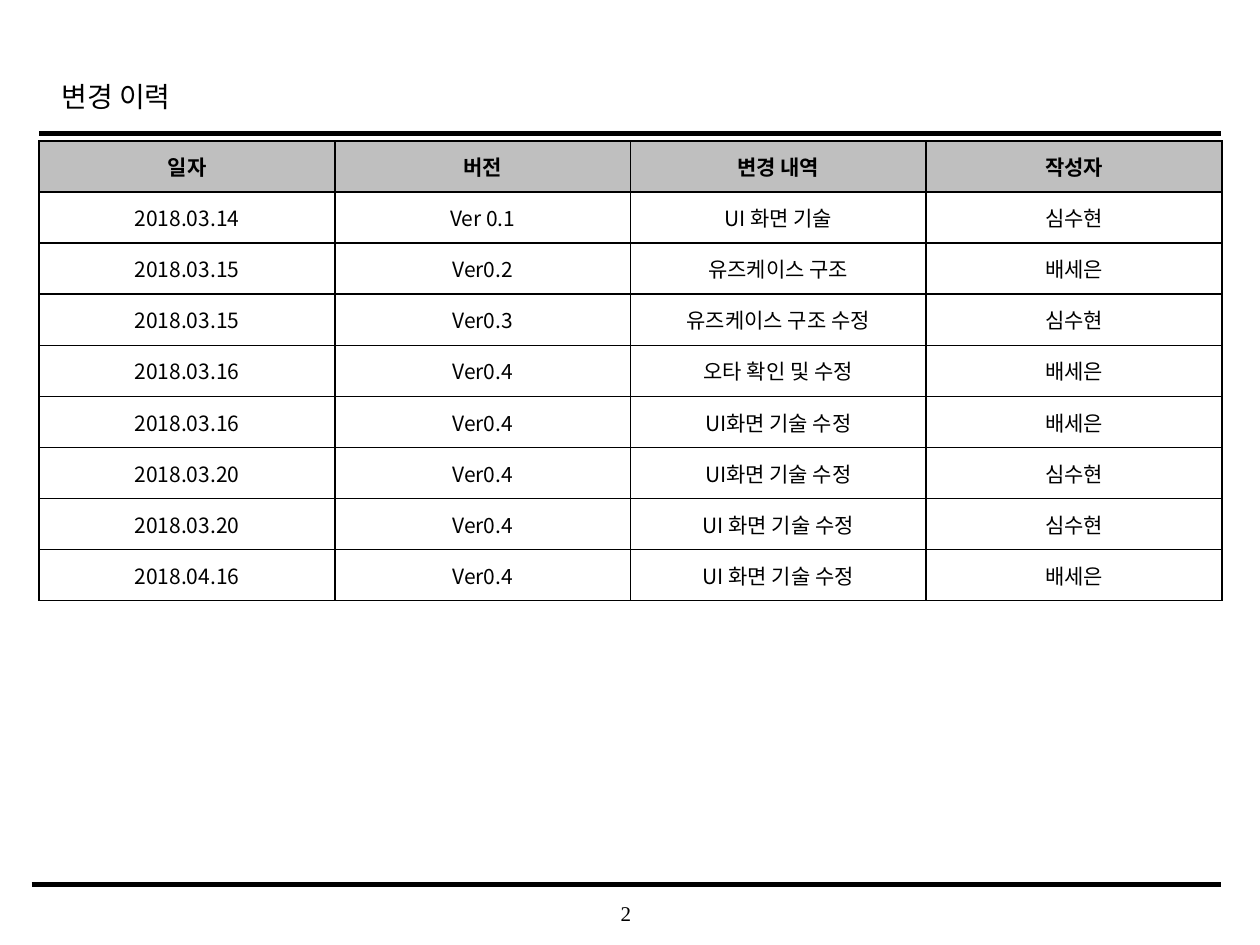
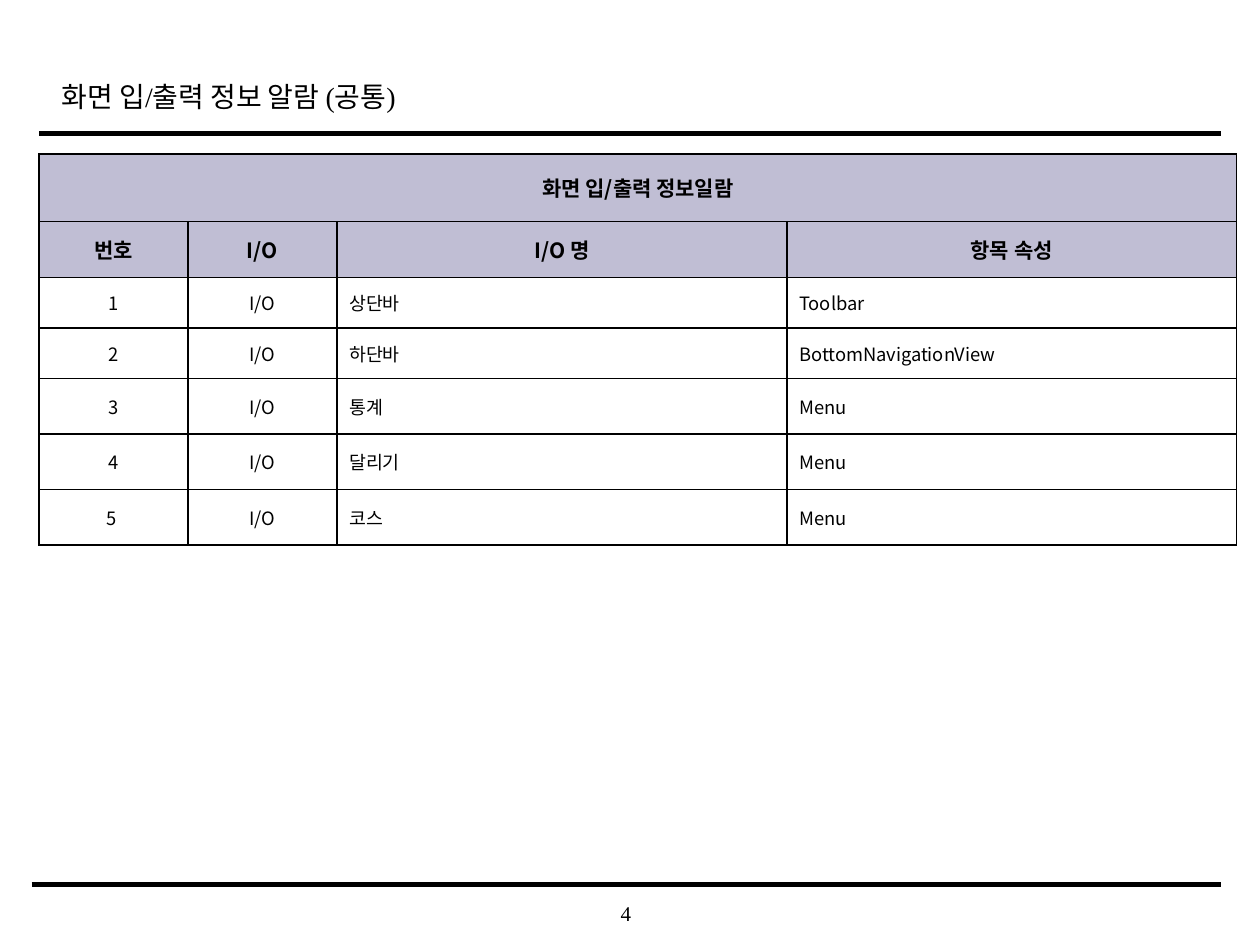
"""Builds the change history and screen I/O tables of a design document."""
from lxml import etree
from pptx import Presentation
from pptx.dml.color import RGBColor
from pptx.enum import shapes, text
from pptx.oxml import ns
from pptx.util import Cm, Pt

BLACK = RGBColor(0x00, 0x00, 0x00)
WHITE = RGBColor(0xFF, 0xFF, 0xFF)
GRAY = RGBColor(0xBF, 0xBF, 0xBF)
LAVENDER = RGBColor(0xC0, 0xBE, 0xD4)
SERIF, SANS = "Times New Roman", "Noto Sans CJK KR"
CENTER, LEFT = text.PP_ALIGN.CENTER, text.PP_ALIGN.LEFT

TABLE_LEFT = 0.79
RULES = [(0.79, 2.69, 2.5), (0.64, 17.83, 3)]
RULE_END = 24.61

SLIDES = [
    {
        "title": "변경 이력", "number": "2", "top": 2.84,
        "columns": [5.96] * 4, "heights": [1.03] * 9,
        "header_rows": 1, "header_fill": GRAY, "body_size": 12,
        "aligns": [CENTER] * 4,
        "rows": [
            ("일자", "버전", "변경 내역", "작성자"),
            ("2018.03.14", "Ver 0.1", "UI 화면 기술", "심수현"),
            ("2018.03.15", "Ver0.2", "유즈케이스 구조", "배세은"),
            ("2018.03.15", "Ver0.3", "유즈케이스 구조 수정", "심수현"),
            ("2018.03.16", "Ver0.4", "오타 확인 및 수정", "배세은"),
            ("2018.03.16", "Ver0.4", "UI화면 기술 수정", "배세은"),
            ("2018.03.20", "Ver0.4", "UI화면 기술 수정", "심수현"),
            ("2018.03.20", "Ver0.4", "UI 화면 기술 수정", "심수현"),
            ("2018.04.16", "Ver0.4", "UI 화면 기술 수정", "배세은"),
        ],
    },
    {
        "title": "화면 입/출력 정보 알람 (공통)", "number": "4", "top": 3.1,
        "columns": [3, 3, 9.07, 9.07],
        "heights": [1.37, 1.12, 1.02, 1.02, 1.12, 1.12, 1.12],
        "header_rows": 2, "header_fill": LAVENDER, "body_size": 10.5,
        "aligns": [CENTER, CENTER, LEFT, LEFT],
        "rows": [
            ("화면 입/출력 정보일람",),
            ("번호", "I/O", "I/O 명", "항목 속성"),
            ("1", "I/O", "상단바", "Toolbar"),
            ("2", "I/O", "하단바", "BottomNavigationView"),
            ("3", "I/O", "통계", "Menu"),
            ("4", "I/O", "달리기", "Menu"),
            ("5 ", "I/O", "코스", "Menu"),
        ],
    },
]


def write(frame, words, size, font, align=LEFT, bold=False):
    frame.vertical_anchor = text.MSO_ANCHOR.MIDDLE
    para = frame.paragraphs[0]
    para.alignment = align
    span = para.add_run()
    span.text = words
    span.font.name, span.font.size, span.font.bold = font, Pt(size), bold
    span.font.color.rgb = BLACK
    east_asian = etree.SubElement(span.font._element, ns.qn("a:ea"))
    east_asian.set("typeface", SANS)
    return para


def add_frame(page, title, number):
    heading = page.shapes.title
    heading.left, heading.top = Cm(0.99), Cm(1.24)
    heading.width, heading.height = Cm(19.18), Cm(1.27)
    heading.text_frame.auto_size = text.MSO_AUTO_SIZE.NONE
    write(heading.text_frame, title, 16, SERIF).line_spacing = 1.2

    for left, height, weight in RULES:
        rule = page.shapes.add_connector(
            shapes.MSO_CONNECTOR.STRAIGHT, Cm(left), Cm(height), Cm(RULE_END), Cm(height))
        rule.line.color.rgb = BLACK
        rule.line.width = Pt(weight)
        etree.SubElement(rule._element.spPr, ns.qn("a:effectLst"))

    box = page.shapes.add_textbox(Cm(9.98), Cm(17.98), Cm(5.28), Cm(0.84))
    frame = box.text_frame
    frame.word_wrap = True
    frame.margin_left = frame.margin_right = frame.margin_top = frame.margin_bottom = 0
    write(frame, number, 12, SERIF, CENTER)


def add_borders(cell):
    properties = cell._tc.get_or_add_tcPr()
    for side in ("a:lnL", "a:lnR", "a:lnT", "a:lnB"):
        line = etree.SubElement(properties, ns.qn(side), w=str(Pt(1)))
        fill = etree.SubElement(line, ns.qn("a:solidFill"))
        etree.SubElement(fill, ns.qn("a:srgbClr"), val=str(BLACK))


def add_grid(page, content):
    columns, heights = content["columns"], content["heights"]
    grid = page.shapes.add_table(
        len(heights), len(columns), Cm(TABLE_LEFT), Cm(content["top"]),
        Cm(sum(columns)), Cm(sum(heights))).table
    grid.first_row = grid.horz_banding = False
    for column, width in zip(grid.columns, columns):
        column.width = Cm(width)
    for row, height in zip(grid.rows, heights):
        row.height = Cm(height)

    for row_index, words in enumerate(content["rows"]):
        header = row_index < content["header_rows"]
        for cell in grid.rows[row_index].cells:
            add_borders(cell)
            cell.fill.solid()
            cell.fill.fore_color.rgb = content["header_fill"] if header else WHITE
        if len(words) == 1:
            grid.cell(row_index, 0).merge(grid.cell(row_index, len(columns) - 1))
        for column_index, word in enumerate(words):
            cell = grid.cell(row_index, column_index)
            cell.vertical_anchor = text.MSO_ANCHOR.MIDDLE
            write(cell.text_frame, word, 12 if header else content["body_size"], SANS,
                  CENTER if header else content["aligns"][column_index], header)


def main():
    deck = Presentation()
    deck.slide_width, deck.slide_height = Cm(25.4), Cm(19.05)
    for content in SLIDES:
        page = deck.slides.add_slide(deck.slide_layouts[5])
        add_frame(page, content["title"], content["number"])
        add_grid(page, content)
    deck.save("out.pptx")


if __name__ == "__main__":
    main()
